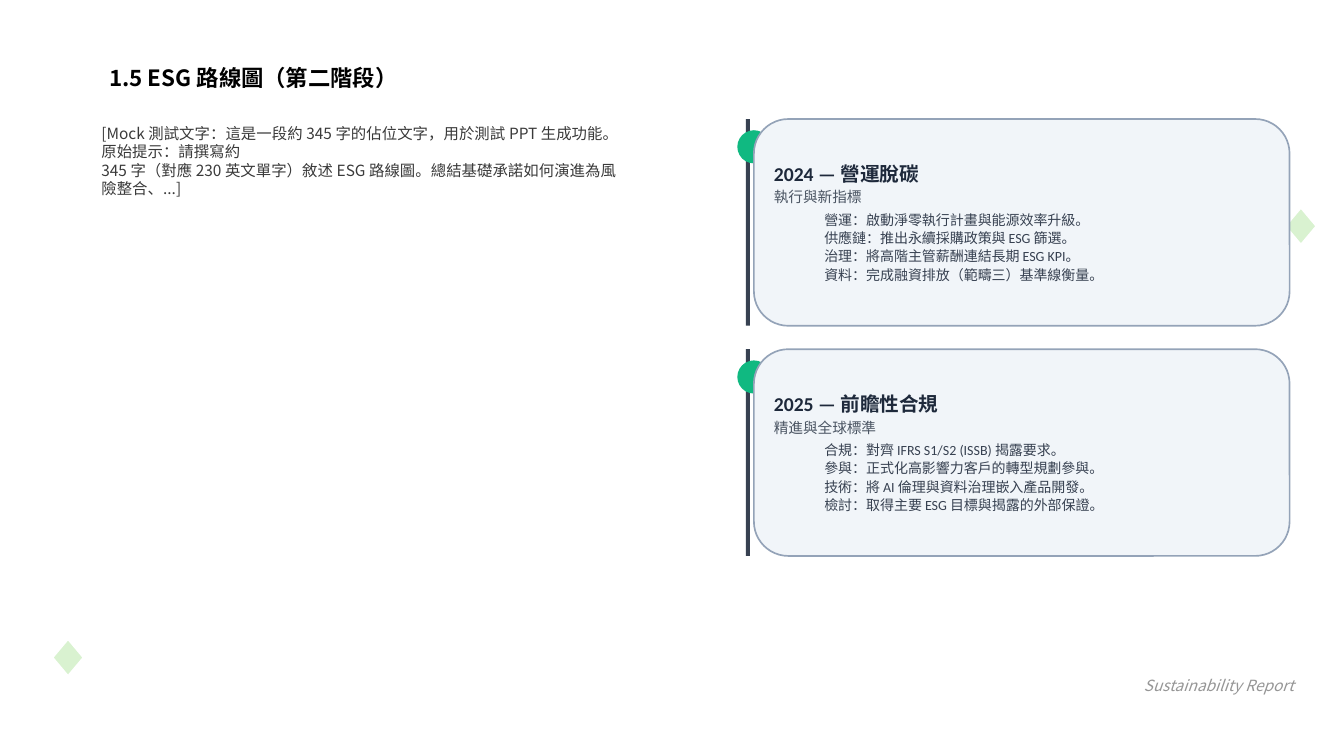
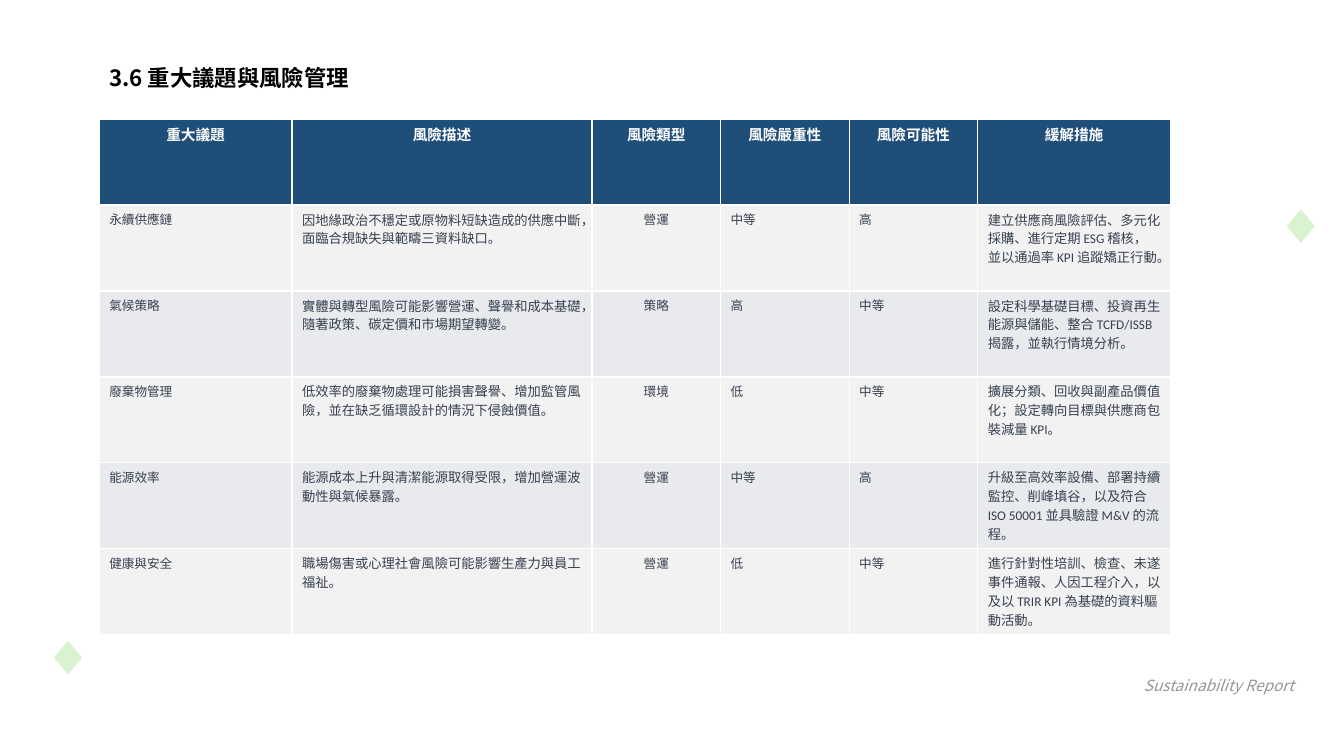
from pptx import Presentation
from pptx.dml.color import RGBColor
from pptx.enum.shapes import MSO_SHAPE
from pptx.enum.text import MSO_ANCHOR, MSO_AUTO_SIZE, PP_ALIGN
from pptx.oxml.ns import qn
from pptx.util import Cm, Pt
from lxml.etree import SubElement

BLACK = RGBColor(0x00, 0x00, 0x00)
WHITE = RGBColor(0xFF, 0xFF, 0xFF)
LEAF = RGBColor(0xD9, 0xF2, 0xD0)
EMERALD = RGBColor(0x10, 0xB9, 0x81)
CHARCOAL = RGBColor(0x3A, 0x3A, 0x3A)
SLATE = RGBColor(0x37, 0x41, 0x51)
SLATE_DARK = RGBColor(0x1E, 0x29, 0x3B)
SLATE_MID = RGBColor(0x4B, 0x55, 0x63)
CARD_FILL = RGBColor(0xF1, 0xF5, 0xF9)
CARD_EDGE = RGBColor(0x94, 0xA3, 0xB8)
FOOTER_GREY = RGBColor(0x96, 0x96, 0x96)
HEADER_BLUE = RGBColor(0x1F, 0x4E, 0x78)
ROW_FILLS = (RGBColor(0xF2, 0xF2, 0xF2), RGBColor(0xE8, 0xEA, 0xED))

NOTO = "Noto Sans CJK TC"
CALIBRI = "Calibri"
TEXT_LEADING = 1.2
CELL_LEADING = 1.42

TITLE = ({"name": NOTO, "size": Pt(16), "bold": True}, BLACK)
BODY = ({"name": NOTO, "size": Pt(11)}, CHARCOAL)
FOOTER = ({"name": NOTO, "size": Pt(11), "italic": True}, FOOTER_GREY)
CARD_HEADING = ({"name": CALIBRI, "size": Pt(14), "bold": True}, SLATE_DARK)
CARD_SUBHEADING = ({"name": CALIBRI, "size": Pt(10.5), "bold": False}, SLATE_MID)
CARD_ITEM = ({"name": CALIBRI, "size": Pt(10), "bold": False}, SLATE)
HEADER_CELL = ({"name": CALIBRI, "size": Pt(10.5), "bold": True}, WHITE)
SHORT_CELL = ({"name": CALIBRI, "size": Pt(9), "bold": False}, SLATE)
LONG_CELL = ({"name": CALIBRI, "size": Pt(9.5), "bold": False}, SLATE)

TITLE_BOX = (2.5, 1.5, 20, 2.54)
BODY_BOX = (2.3, 3, 13.5, 15)
FOOTER_BOX = (26.87, 16.84, 6, 1.2)
ROADMAP_BOX = (18.6, 3, 13.9, 11.01)
TABLE_BOX = (2.5, 3, 27, 13)

ROADMAP_TEXT = (
    "[Mock 測試文字：這是一段約 345 字的佔位文字，用於測試 PPT 生成功能。原始提示：請撰寫約",
    "345 字（對應 230 英文單字）敘述 ESG 路線圖。總結基礎承諾如何演進為風險整合、...]",
)
STAGES = (
    ("2024 — 營運脫碳", "執行與新指標", (
        "營運：啟動淨零執行計畫與能源效率升級。",
        "供應鏈：推出永續採購政策與 ESG 篩選。",
        "治理：將高階主管薪酬連結長期 ESG KPI。",
        "資料：完成融資排放（範疇三）基準線衡量。")),
    ("2025 — 前瞻性合規", "精進與全球標準", (
        "合規：對齊 IFRS S1/S2 (ISSB) 揭露要求。",
        "參與：正式化高影響力客戶的轉型規劃參與。",
        "技術：將 AI 倫理與資料治理嵌入產品開發。",
        "檢討：取得主要 ESG 目標與揭露的外部保證。")),
)
COLUMN_SHARES = (0.18, 0.28, 0.12, 0.12, 0.12, 0.18)
LONG_COLUMNS = (1, 5)
RISK_TYPE_COLUMN = 2
RISKS = (
    ("重大議題", "風險描述", "風險類型", "風險嚴重性", "風險可能性", "緩解措施"),
    ("永續供應鏈", "因地緣政治不穩定或原物料短缺造成的供應中斷，面臨合規缺失與範疇三資料缺口。",
     "營運", "中等", "高",
     "建立供應商風險評估、多元化採購、進行定期 ESG 稽核，並以通過率 KPI 追蹤矯正行動。"),
    ("氣候策略", "實體與轉型風險可能影響營運、聲譽和成本基礎，隨著政策、碳定價和市場期望轉變。",
     "策略", "高", "中等",
     "設定科學基礎目標、投資再生能源與儲能、整合 TCFD/ISSB 揭露，並執行情境分析。"),
    ("廢棄物管理", "低效率的廢棄物處理可能損害聲譽、增加監管風險，並在缺乏循環設計的情況下侵蝕價值。",
     "環境", "低", "中等",
     "擴展分類、回收與副產品價值化；設定轉向目標與供應商包裝減量 KPI。"),
    ("能源效率", "能源成本上升與清潔能源取得受限，增加營運波動性與氣候暴露。",
     "營運", "中等", "高",
     "升級至高效率設備、部署持續監控、削峰填谷，以及符合 ISO 50001 並具驗證 M&V 的流程。"),
    ("健康與安全", "職場傷害或心理社會風險可能影響生產力與員工福祉。",
     "營運", "低", "中等",
     "進行針對性培訓、檢查、未遂事件通報、人因工程介入，以及以 TRIR KPI 為基礎的資料驅動活動。"),
)


def cm_box(box):
    """Convert a box in centimetres to lengths."""
    return [Cm(length) for length in box]


def write(paragraph, text, style, align=PP_ALIGN.LEFT, after=0, level=0, leading=TEXT_LEADING):
    """Fill one paragraph with styled text."""
    formats, color = style
    layout = {"text": text, "alignment": align, "level": level, "space_before": Pt(0),
              "space_after": Pt(after), "line_spacing": Pt(round(formats["size"].pt * leading, 1))}
    for target, values in ((paragraph, layout), (paragraph.runs, formats)):
        for name, value in values.items():
            if target is paragraph:
                setattr(paragraph, name, value)
            else:
                setattr(paragraph.runs[0].font, name, value)
    paragraph.runs[0].font.color.rgb = color


def write_all(frame, entries):
    """Write one paragraph for each set of write() arguments."""
    for index, entry in enumerate(entries):
        paragraph = frame.add_paragraph() if index else frame.paragraphs[0]
        write(paragraph, **entry)


def draw(shapes, preset, box, fill=None, edge=None, width=0):
    """Add a flat preset shape."""
    shape = shapes.add_shape(preset, *cm_box(box))
    shape.shadow.inherit = False
    if fill is None:
        shape.fill.background()
    else:
        shape.fill.solid()
        shape.fill.fore_color.rgb = fill
    if edge is None:
        shape.line.fill.background()
    else:
        shape.line.color.rgb = edge
        shape.line.width = Pt(width)
    return shape


def decorate_master(master, slide):
    """Put the leaf-green ring and diamonds on the slide master."""
    ring = draw(slide.shapes, MSO_SHAPE.ARC, (27.69, -8.59, 10.16, 12.62), edge=LEAF, width=46.25)
    ring.rotation = 151.3
    for index, degrees in enumerate((152.05, 215.37)):
        ring.adjustments[index] = degrees * 0.6
    tint = next(ring.element.iter(qn("a:srgbClr")))
    SubElement(tint, qn("a:alpha")).set("val", "60000")
    diamonds = [draw(slide.shapes, MSO_SHAPE.DIAMOND, (left, top, 0.79, 0.94), LEAF, WHITE, 1.5)
                for left, top in ((32.39, 5.23), (1.32, 16.1))]
    for number, ornament in enumerate((ring, *diamonds), start=20):
        ornament.element.nvSpPr.cNvPr.set("id", str(number))
        master.shapes.element.append(ornament.element)


def place_text(holder, box, entries):
    """Move a text holder into a box and write its paragraphs."""
    holder.left, holder.top, holder.width, holder.height = cm_box(box)
    frame = holder.text_frame
    for name, value in {"word_wrap": True, "auto_size": MSO_AUTO_SIZE.NONE,
                        "vertical_anchor": MSO_ANCHOR.TOP}.items():
        setattr(frame, name, value)
    write_all(frame, entries)


def add_titled_slide(prs, layout_index, title):
    """Add a slide with the shared title and footer."""
    slide = prs.slides.add_slide(prs.slide_layouts[layout_index])
    place_text(slide.shapes.title, TITLE_BOX, [{"text": title, "style": TITLE}])
    footer = slide.shapes.add_textbox(*cm_box(FOOTER_BOX))
    place_text(footer, FOOTER_BOX, [{"text": "Sustainability Report", "style": FOOTER,
                                     "align": PP_ALIGN.RIGHT, "leading": 1.36}])
    return slide


def add_body(slide, box, texts):
    """Place unbulleted text in the body placeholder."""
    body = slide.placeholders[1]
    frame = body.text_frame
    for index in range(len(texts)):
        paragraph = frame.add_paragraph() if index else frame.paragraphs[0]
        properties = paragraph._p.get_or_add_pPr()
        properties.set("marL", "0")
        properties.set("indent", "0")
        SubElement(properties, qn("a:buNone"))
    place_text(body, box, [{"text": texts[0], "style": BODY}])
    for paragraph, text in zip(frame.paragraphs[1:], texts[1:]):
        write(paragraph, text, BODY)


def add_stage(slide, box, stage):
    """Draw one roadmap stage: rail, marker and card."""
    left, top, width, height = box
    heading, subheading, items = stage
    draw(slide.shapes, MSO_SHAPE.RECTANGLE, (left + 0.2, top, 0.1, height), SLATE)
    draw(slide.shapes, MSO_SHAPE.OVAL, (left, top + 0.3, 0.8, 0.8), EMERALD, EMERALD, 1)
    card = draw(slide.shapes, MSO_SHAPE.ROUNDED_RECTANGLE,
                (left + 0.4, top, width - 0.4, height), CARD_FILL, CARD_EDGE, 1.2)
    card.text_frame.word_wrap = True
    card.text_frame.vertical_anchor = MSO_ANCHOR.MIDDLE
    write_all(card.text_frame, [
        {"text": heading, "style": CARD_HEADING, "after": 2},
        {"text": subheading, "style": CARD_SUBHEADING, "after": 4},
        *({"text": item, "style": CARD_ITEM, "after": 1, "level": 1} for item in items)])


def add_roadmap(slide, box, stages, gap=0.59):
    """Stack the stages evenly in a box."""
    left, top, width, height = box
    stage_height = (height - gap * (len(stages) - 1)) / len(stages)
    for index, stage in enumerate(stages):
        stage_top = top + index * (stage_height + gap)
        add_stage(slide, (left, stage_top, width, stage_height), stage)


def add_risk_table(slide, box, rows):
    """Fill a box with the risk table."""
    table = slide.shapes.add_table(len(rows), len(rows[0]), *cm_box(box)).table
    for column, share in zip(table.columns, COLUMN_SHARES):
        column.width = Cm(box[2] * share)
    for row_index, row in enumerate(rows):
        table.rows[row_index].height = Cm(box[3] / len(rows))
        for column_index, text in enumerate(row):
            is_header = row_index == 0
            is_centred = is_header or column_index == RISK_TYPE_COLUMN
            style = LONG_CELL if column_index in LONG_COLUMNS else SHORT_CELL
            cell = table.cell(row_index, column_index)
            cell.fill.solid()
            cell.fill.fore_color.rgb = HEADER_BLUE if is_header else ROW_FILLS[(row_index - 1) % 2]
            write(cell.text_frame.paragraphs[0], text, HEADER_CELL if is_header else style,
                  PP_ALIGN.CENTER if is_centred else PP_ALIGN.LEFT, leading=CELL_LEADING)


def main():
    """Build and save the presentation."""
    prs = Presentation()
    prs.slide_width, prs.slide_height = Cm(33.87), Cm(19.05)

    roadmap = add_titled_slide(prs, 1, "1.5 ESG 路線圖（第二階段）")
    decorate_master(prs.slide_master, roadmap)
    add_body(roadmap, BODY_BOX, ROADMAP_TEXT)
    add_roadmap(roadmap, ROADMAP_BOX, STAGES)

    risks = add_titled_slide(prs, 5, "3.6 重大議題與風險管理")
    add_risk_table(risks, TABLE_BOX, RISKS)

    prs.save("out.pptx")


if __name__ == "__main__":
    main()
